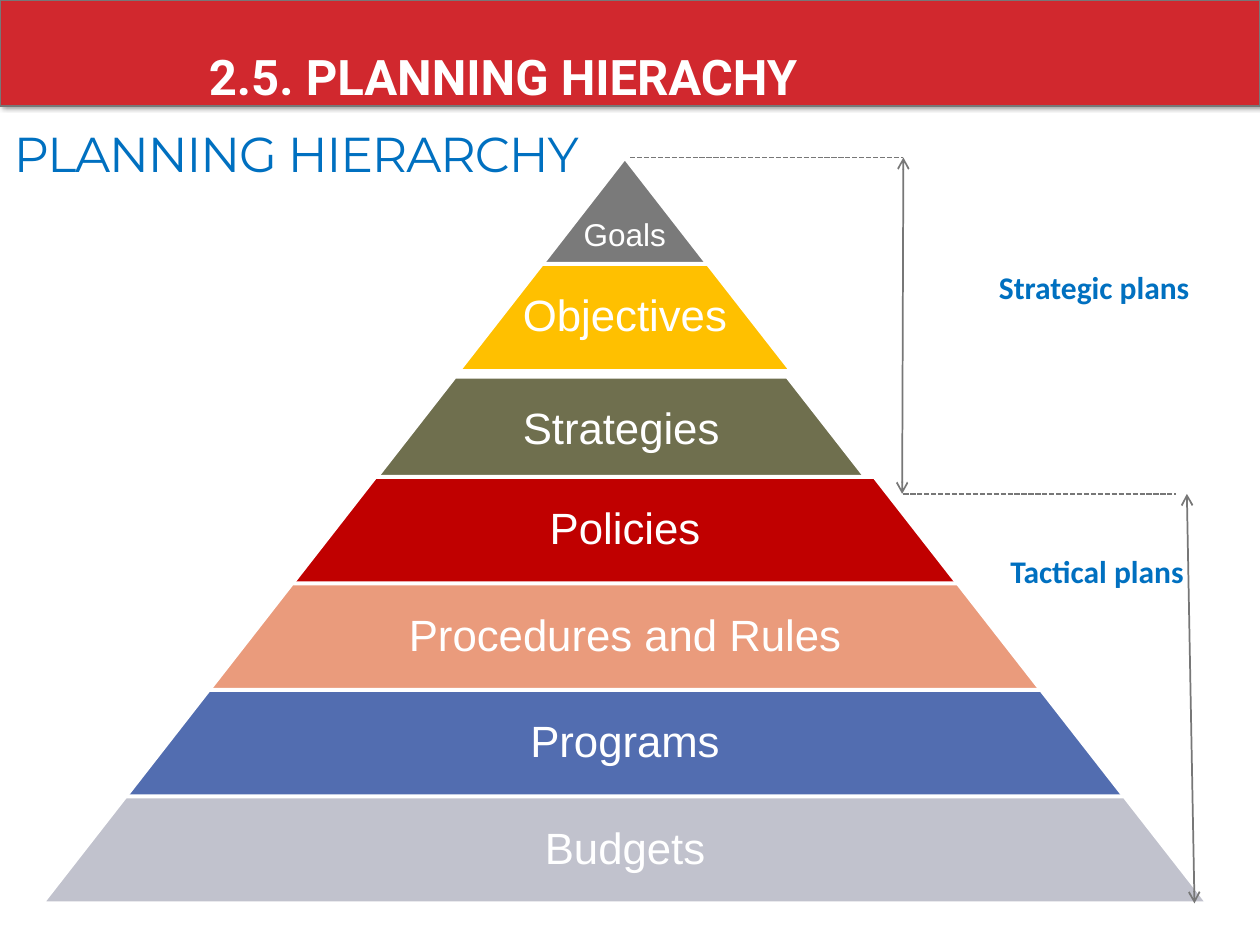
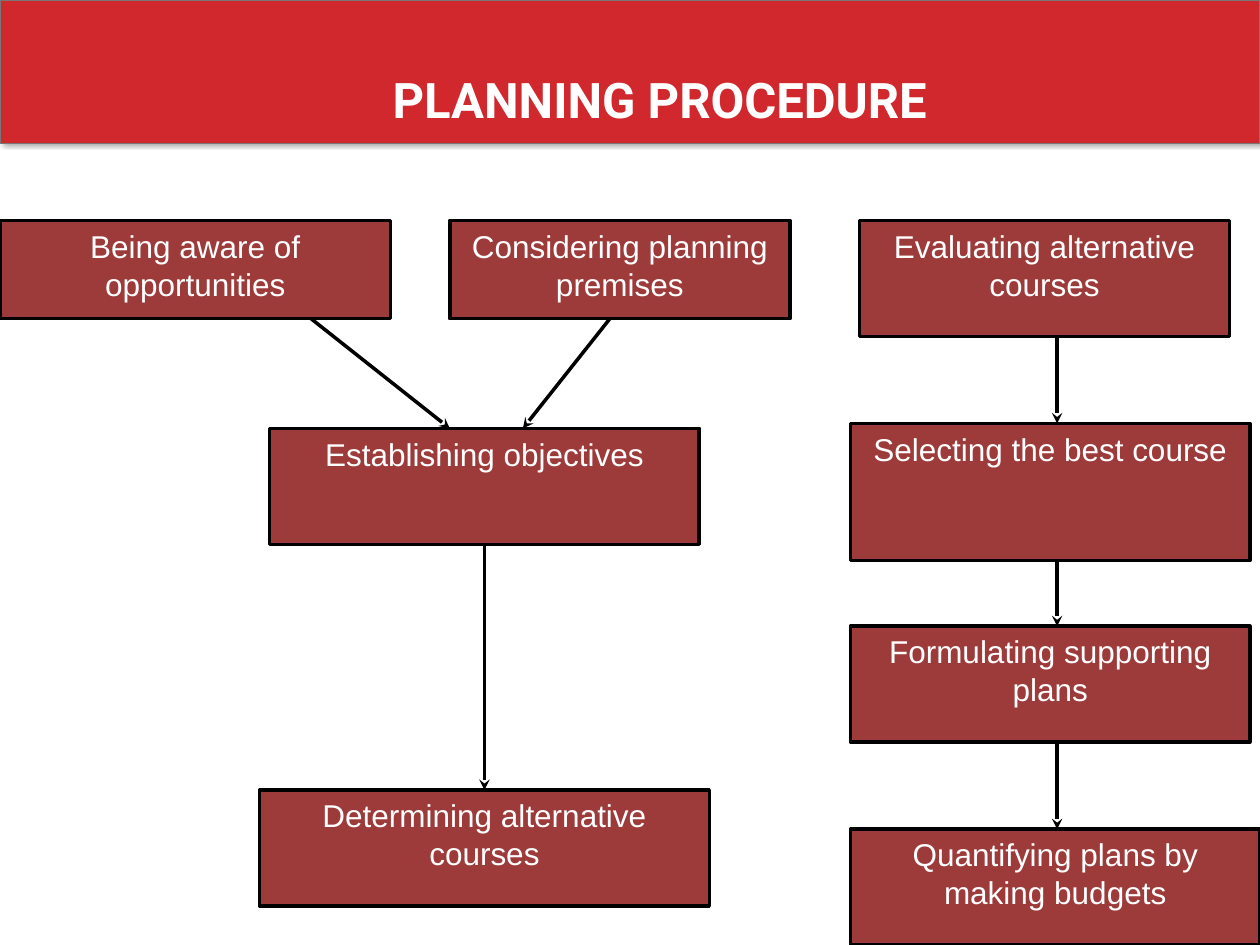
"""Builds two slides on the planning hierarchy and the planning procedure."""
from dataclasses import dataclass

from lxml import etree
from pptx import Presentation
from pptx.dml.color import RGBColor
from pptx.enum.dml import MSO_LINE
from pptx.enum.shapes import MSO_CONNECTOR, MSO_SHAPE
from pptx.enum.text import MSO_ANCHOR, MSO_AUTO_SIZE, PP_ALIGN
from pptx.oxml.ns import qn
from pptx.util import Inches, Pt

RECT, TRAPEZOID = MSO_SHAPE.RECTANGLE, MSO_SHAPE.TRAPEZOID
STRAIGHT, DASH = MSO_CONNECTOR.STRAIGHT, MSO_LINE.SQUARE_DOT
LEFT, CENTER = PP_ALIGN.LEFT, PP_ALIGN.CENTER
TOP, MIDDLE, BOTTOM = MSO_ANCHOR.TOP, MSO_ANCHOR.MIDDLE, MSO_ANCHOR.BOTTOM
BOTTOM_SIDE, TOP_SIDE = 2, 0
TITLE_ONLY = 5

WIDTH, HEIGHT = Inches(10), Inches(7.5)
COLS = 100
UNIT = WIDTH / COLS


@dataclass(frozen=True)
class Theme:
    """Colours, fonts and type sizes."""
    white: str = "FFFFFF"
    black: str = "000000"
    band: str = "D1282E"
    grey: str = "777777"
    blue: str = "0070C0"
    step: str = "800000"
    body: str = "Arial"
    heading: str = "Roboto"
    thin: str = "Montserrat"
    label: str = "Calibri"
    title_size: int = 28
    tier_size: int = 25
    text_size: int = 18


T = Theme()

TIERS = [
    ("Goals", "7A7A7A"),
    ("Objectives", "FFC000"),
    ("Strategies", "6F6F4E"),
    ("Policies", "C00000"),
    ("Procedures and Rules", "EA9B7C"),
    ("Programs", "526DB0"),
    ("Budgets", "C1C2CD"),
]
TIER_HEIGHT, TIER_STEP, TIER_WIDTH = 8.5, 8.45, 13.22
APEX_X, APEX_Y = 49.6, 12.5
TIER_SHIFT = {"Strategies": (-0.3, 0.5)}

STEPS = {
    "aware": ("Being aware of opportunities", 0, 17.5, 31, 7.8),
    "objectives": ("Establishing objectives", 21.4, 34, 34.1, 9.2),
    "premises": ("Considering planning premises", 35.7, 17.5, 27, 7.8),
    "alternatives": ("Determining alternative courses", 20.6, 62.7, 35.7, 9.2),
    "evaluating": ("Evaluating alternative courses", 68.2, 17.5, 29.4, 9.2),
    "selecting": ("Selecting the best course", 67.5, 33.6, 31.7, 10.9),
    "supporting": ("Formulating supporting plans", 67.5, 49.7, 31.7, 9.2),
    "budgets": ("Quantifying plans by making budgets", 67.5, 65.8, 32.5, 9.2),
}
RIGHT_X = 83.9
LINKS = [
    ("evaluating", "selecting", RIGHT_X, RIGHT_X),
    ("selecting", "supporting", RIGHT_X, RIGHT_X),
    ("supporting", "budgets", RIGHT_X, RIGHT_X),
    ("objectives", "alternatives", None, None),
    ("aware", "objectives", 24.7, 35.7),
    ("premises", "objectives", 48.4, 41.5),
]


def grid(*values):
    """Turn grid units into slide lengths."""
    return [round(v * UNIT) for v in values]


def rgb(color):
    """Make a colour from its hex code."""
    return RGBColor.from_string(color)


def add_xml(parent, tag, **attrs):
    """Append a drawing element and return it."""
    attrs = {name: str(value) for name, value in attrs.items()}
    return etree.SubElement(parent, qn(tag), attrs)


def write(sp, text, *, size=T.text_size, font=T.body, color=T.white, bold=False,
          align=LEFT, anchor=TOP, wrap=True, spacing=None, tracking=None):
    """Write one formatted paragraph into a shape."""
    tf = sp.text_frame
    tf.auto_size = MSO_AUTO_SIZE.NONE
    tf.word_wrap = wrap
    tf.vertical_anchor = anchor
    p = tf.paragraphs[0]
    p.alignment = align
    if spacing:
        p.line_spacing = spacing
    r = p.add_run()
    r.text = text
    r.font.size, r.font.name, r.font.bold = Pt(size), font, bold
    r.font.color.rgb = rgb(color)
    if tracking:
        r.font._element.set("spc", str(round(tracking * 100)))
    return tf


def add_label(slide, text, box, **fmt):
    """Add a text box."""
    write(slide.shapes.add_textbox(*grid(*box)), text, **fmt)


def set_title(slide, text, box, **fmt):
    """Place and fill the title placeholder."""
    sp = slide.shapes.title
    sp.left, sp.top, sp.width, sp.height = grid(*box)
    write(sp, text, size=T.title_size, **fmt)


def add_block(slide, kind, box, fill, line, weight):
    """Add a filled and outlined shape without a shadow."""
    sp = slide.shapes.add_shape(kind, *grid(*box))
    sp.shadow.inherit = False
    sp.fill.solid()
    sp.fill.fore_color.rgb = rgb(fill)
    sp.line.color.rgb = rgb(line)
    sp.line.width = Pt(weight)
    return sp


def add_band(slide, height):
    """Add the shadowed header band behind everything else."""
    sp = add_block(slide, RECT, (0, 0, COLS, height), T.band, T.grey, 1)
    effects = sp._element.spPr.find(qn("a:effectLst"))
    shadow = add_xml(effects, "a:outerShdw", blurRad=Pt(3.1), dist=Pt(1.8),
                     dir=0, rotWithShape=0)
    color = add_xml(shadow, "a:srgbClr", val=T.black)
    add_xml(color, "a:alpha", val=40000)
    slide.shapes._spTree.insert(2, sp._element)


def add_line(slide, start, end, color, weight, dash=None, head=None, tail=None):
    """Add a straight line with optional dashes and arrowheads."""
    line = slide.shapes.add_connector(STRAIGHT, *grid(*start, *end))
    line.line.color.rgb = rgb(color)
    line.line.width = Pt(weight)
    if dash:
        line.line.dash_style = dash
    ln = line.line._get_or_add_ln()
    for tag, kind in (("a:headEnd", head), ("a:tailEnd", tail)):
        if kind:
            add_xml(ln, tag, type=kind)
    add_xml(line._element.spPr, "a:effectLst")
    return line


def add_tier(slide, index, name, color):
    """Add one level of the pyramid, counted from the apex."""
    dx, dy = TIER_SHIFT.get(name, (0, 0))
    width = TIER_WIDTH * (index + 1)
    box = (APEX_X - width / 2 + dx, APEX_Y + TIER_STEP * index + dy, width, TIER_HEIGHT)
    sp = add_block(slide, TRAPEZOID, box, color, T.white, 2.25)
    sp.adjustments[0] = 0.78
    size = T.tier_size if index else T.text_size
    tf = write(sp, name, size=size, align=CENTER, anchor=MIDDLE, wrap=False, spacing=0.9)
    top, bottom = (0.3, 0.3 + TIER_HEIGHT / 3 / (index + 1)) if index else (1.5, 0.3)
    tf.margin_left, tf.margin_right, tf.margin_top, tf.margin_bottom = grid(0.3, 0.3, top, bottom)


def add_step(slide, text, *box):
    """Add one translucent box of the procedure."""
    sp = add_block(slide, RECT, box, T.step, T.black, 2)
    color = sp.fill._xPr.find(qn("a:solidFill"))[0]
    add_xml(color, "a:alpha", val=77000)
    write(sp, text, align=CENTER)
    return sp


def add_link(slide, boxes, source, target, x1, x2):
    """Draw an arrow from one step down to another."""
    _, left, top, width, height = STEPS[source]
    joined = x1 is None
    if joined:
        x1 = x2 = left + width / 2
    line = add_line(slide, (x1, top + height), (x2, STEPS[target][2]),
                    T.black, 2, tail="stealth")
    if joined:
        line.begin_connect(boxes[source], BOTTOM_SIDE)
        line.end_connect(boxes[target], TOP_SIDE)


def build_hierarchy(slide):
    """Build the pyramid of plans."""
    add_band(slide, 8.4)
    add_label(slide, "2.5. PLANNING HIERACHY", (15.6, 3.2, 82.2, 5.7),
              size=T.title_size, font=T.heading, bold=True)
    set_title(slide, "PLANNING HIERARCHY", (0.1, 4.6, 89, 10.4), font=T.thin,
              color=T.blue, anchor=BOTTOM, tracking=-0.6)
    for index, (name, color) in enumerate(TIERS):
        add_tier(slide, index, name, color)
    for start, end in (((50, 12.5), (71.7, 12.5)), ((71.7, 39.2), (93.3, 39.2))):
        add_line(slide, start, end, T.grey, 1, dash=DASH)
    for start, end in (((71.6, 39.2), (71.7, 12.5)), ((94.2, 39.2), (94.8, 71.7))):
        add_line(slide, start, end, T.grey, 1, head="arrow", tail="arrow")
    for text, box in (("Strategic plans", (78.3, 20.8, 21.7, 4)),
                      ("Tactical plans", (79.2, 43.3, 15.8, 4))):
        add_label(slide, text, box, font=T.label, color=T.blue, bold=True)


def build_procedure(slide):
    """Build the flow of planning steps."""
    add_band(slide, 11.4)
    set_title(slide, "PLANNING PROCEDURE", (6.9, 5, 90.9, 5.7), font=T.heading,
              bold=True, align=CENTER)
    boxes = {key: add_step(slide, *step) for key, step in STEPS.items()}
    for link in LINKS:
        add_link(slide, boxes, *link)


def main():
    """Build and save the presentation."""
    prs = Presentation()
    prs.slide_width, prs.slide_height = WIDTH, HEIGHT
    for build in (build_hierarchy, build_procedure):
        build(prs.slides.add_slide(prs.slide_layouts[TITLE_ONLY]))
    prs.save("out.pptx")


if __name__ == "__main__":
    main()
